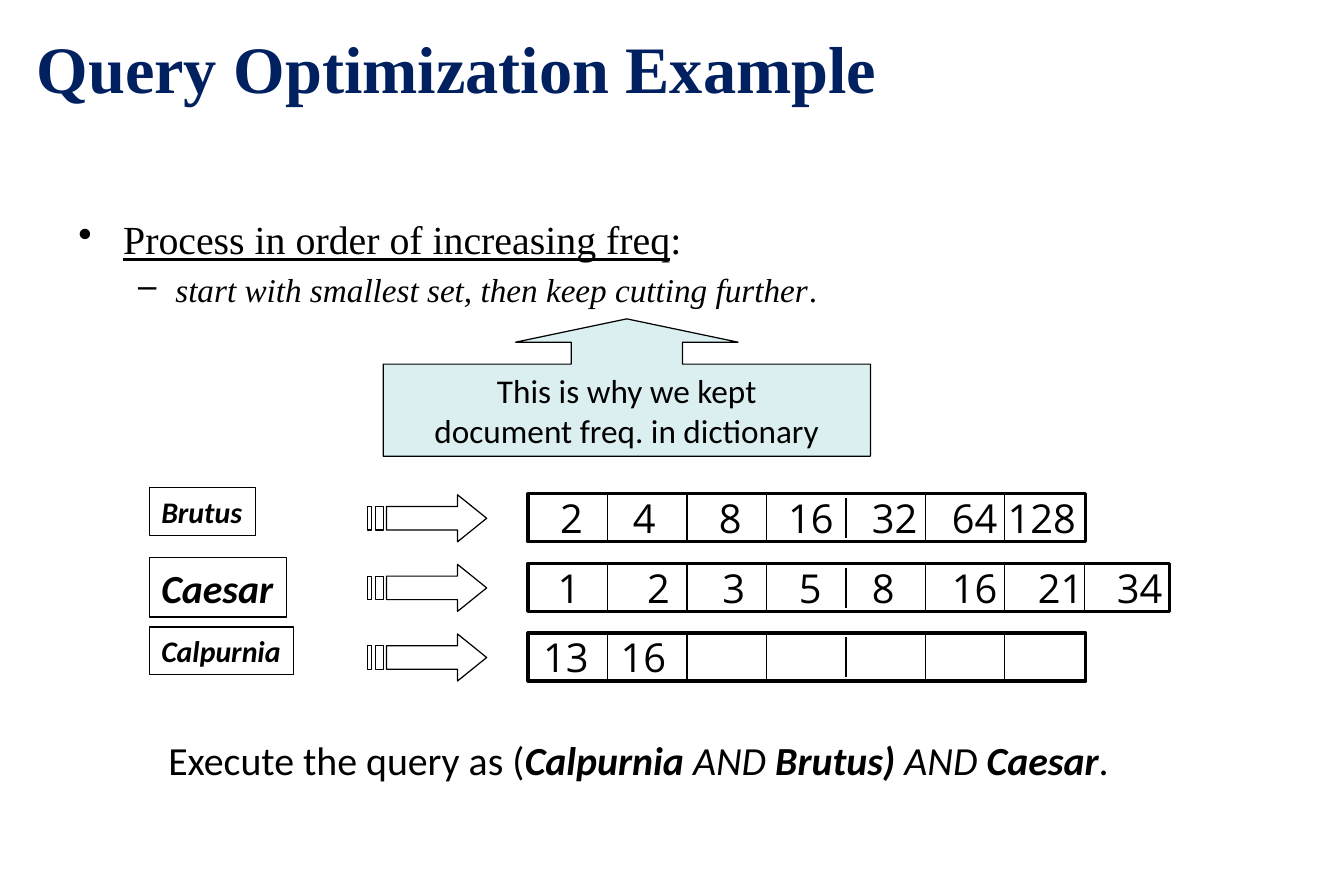
from dataclasses import dataclass

from lxml import etree
from pptx import Presentation
from pptx import util as u
from pptx.dml.color import RGBColor
from pptx.enum import shapes, text
from pptx.oxml import ns

COLORS = {"title": "002060", "ink": "000000", "callout": "BBE0E3"}
SERIF, SANS, DIGITS = "Times New Roman", "Calibri", "Open Sans"

# Postings rows, in centimetres
FIRST_ROW, ROW_STEP = 10.37, 1.48
TERM_LEFT, ARROW_LEFT, LIST_LEFT = 3.18, 7.82, 11.23
CELL_WIDTH, CELL_HEIGHT = 1.69, 1.02
ARROW_PARTS = [
    [(1.91, 0), (1.91, 0.25), (0.4, 0.25), (0.4, 0.75),
     (1.91, 0.75), (1.91, 1), (2.53, 0.5)],
    [(0.17, 0.25), (0.17, 0.75), (0.33, 0.75), (0.33, 0.25)],
    [(0, 0.25), (0, 0.75), (0.08, 0.75), (0.08, 0.25)],
]


@dataclass
class Run:
    words: str
    size: float
    font: str = SANS
    bold: bool = False
    italic: bool = False
    underline: bool = False
    color: str = "ink"


@dataclass
class Postings:
    term: str
    term_size: float
    term_width: float
    term_height: float
    list_width: float
    docs: list[tuple[int, float]]  # document number, left edge


POSTINGS = [
    Postings("Brutus", 18, 2.26, 1.02, 11.86,
             [(2, 11.66), (4, 13.21), (8, 15.04), (16, 16.51),
              (32, 18.29), (64, 19.99), (128, 21.18)]),
    Postings("Caesar", 24, 2.92, 1.27, 13.64,
             [(1, 11.61), (2, 13.51), (3, 15.11), (5, 16.74),
              (8, 18.29), (16, 19.99), (21, 21.82), (34, 23.5)]),
    Postings("Calpurnia", 18, 3.07, 1.02, 11.86, [(13, 11.3), (16, 12.95)]),
]

prs = Presentation()
prs.slide_width, prs.slide_height = u.Cm(28.58), u.Cm(19.05)
slide = prs.slides.add_slide(prs.slide_layouts[6])


def rgb(name: str) -> RGBColor:
    return RGBColor.from_string(COLORS[name])


def add_runs(paragraph, runs: list[Run]) -> None:
    for item in runs:
        run = paragraph.add_run()
        run.text = item.words
        font = run.font
        font.name, font.size = item.font, u.Pt(item.size)
        font.bold, font.italic, font.underline = item.bold, item.italic, item.underline
        font.color.rgb = rgb(item.color)


def write(shape, lines: list[list[Run]], wrap: bool = False,
          anchor=text.MSO_ANCHOR.TOP, align=text.PP_ALIGN.LEFT):
    frame = shape.text_frame
    frame.word_wrap, frame.vertical_anchor = wrap, anchor
    for index, runs in enumerate(lines):
        paragraph = frame.paragraphs[0] if index == 0 else frame.add_paragraph()
        paragraph.alignment = align
        add_runs(paragraph, runs)
    return frame


def add_text(left: float, top: float, width: float, height: float,
             lines: list[list[Run]], **layout):
    box = slide.shapes.add_textbox(u.Cm(left), u.Cm(top), u.Cm(width), u.Cm(height))
    return write(box, lines, **layout)


def outline(shape, weight: float = 0.75) -> None:
    shape.shadow.inherit = False
    shape.fill.background()
    shape.line.color.rgb = rgb("ink")
    shape.line.width = u.Pt(weight)


def add_box(left: float, top: float, width: float, height: float,
            weight: float = 0.75, kind=shapes.MSO_SHAPE.RECTANGLE):
    box = slide.shapes.add_shape(kind, u.Cm(left), u.Cm(top), u.Cm(width), u.Cm(height))
    outline(box, weight)
    return box


def add_bullet(paragraph, mark: str, margin: float, hanging: float, before: float) -> None:
    paragraph.space_before = u.Pt(before)
    props = paragraph._p.get_or_add_pPr()
    props.set("marL", str(u.Cm(margin)))
    props.set("indent", str(-u.Cm(hanging)))
    etree.SubElement(props, ns.qn("a:buChar")).set("char", mark)


def add_striped_arrow(top: float) -> None:
    builder = None
    for part in ARROW_PARTS:
        points = [(u.Cm(ARROW_LEFT + x), u.Cm(top + y)) for x, y in part]
        if builder is None:
            builder = slide.shapes.build_freeform(*points[0])
        else:
            builder.move_to(*points[0])
        builder.add_line_segments(points[1:], close=True)
    outline(builder.convert_to_shape())


def add_divider(x: float, top: float, bottom: float) -> None:
    line = slide.shapes.add_connector(
        shapes.MSO_CONNECTOR.STRAIGHT, u.Cm(x), u.Cm(top), u.Cm(x), u.Cm(bottom))
    line.line.color.rgb = rgb("ink")
    line.line.width = u.Pt(0.75)
    etree.SubElement(line._element.spPr, ns.qn("a:effectLst"))


def add_postings(row: Postings, top: float) -> None:
    term = add_box(TERM_LEFT, top, row.term_width, row.term_height)
    write(term, [[Run(row.term, row.term_size, bold=True, italic=True)]])
    add_striped_arrow(top + 0.15)

    # Nested boxes and a middle line make the cells
    cell_top = top + 0.13
    add_box(LIST_LEFT, cell_top, row.list_width, CELL_HEIGHT, 2)
    for depth in (1, 2, 3):
        add_box(LIST_LEFT + depth * CELL_WIDTH, cell_top,
                (8 - 2 * depth) * CELL_WIDTH, CELL_HEIGHT)
    add_divider(LIST_LEFT + 4 * CELL_WIDTH, top + 0.22, top + 1.07)

    for number, left in row.docs:
        digits = str(number)
        add_text(left, top, 0.51 + 0.53 * len(digits), 1.27,
                 [[Run(digits, 24, DIGITS)]])


# Title
add_text(0.53, 0.43, 22.81, 1.98,
         [[Run("Query Optimization Example", 40, SERIF, bold=True, color="title")]],
         wrap=True, anchor=text.MSO_ANCHOR.MIDDLE)

# Rule for ordering the query
rule = add_text(1.42, 4.45, 25.7, 12.57, [
    [Run("Process in order of increasing freq", 24, SERIF, underline=True),
     Run(":", 24, SERIF)],
    [Run("start with smallest set, then keep cutting further", 20, SERIF, italic=True),
     Run(".", 20, SERIF)],
], wrap=True)
add_bullet(rule.paragraphs[0], "•", 0.95, 0.95, 4.8)
rule.paragraphs[1].level = 1
add_bullet(rule.paragraphs[1], "–", 2.06, 0.79, 4)

# Reason callout
reason = add_box(8.15, 6.78, 10.36, 2.92, kind=shapes.MSO_SHAPE.UP_ARROW_CALLOUT)
for index, value in enumerate((0.81, 0.81, 0.17, 0.67)):
    reason.adjustments[index] = value
reason.fill.solid()
reason.fill.fore_color.rgb = rgb("callout")
tint = reason._element.spPr.find(ns.qn("a:solidFill"))[0]
etree.SubElement(tint, ns.qn("a:alpha")).set("val", "50000")
write(reason, [[Run("This is why we kept", 20)],
               [Run("document freq. in dictionary", 20)]],
      wrap=True, anchor=text.MSO_ANCHOR.MIDDLE, align=text.PP_ALIGN.CENTER)

# Postings lists
for index, row in enumerate(POSTINGS):
    add_postings(row, FIRST_ROW + index * ROW_STEP)

# Resulting query order
add_text(3.33, 15.52, 20.7, 1.3, [[
    Run("Execute the query as (", 24),
    Run("Calpurnia ", 24, bold=True, italic=True),
    Run("AND ", 24, italic=True),
    Run("Brutus) ", 24, bold=True, italic=True),
    Run("AND ", 24, italic=True),
    Run("Caesar", 24, bold=True, italic=True),
    Run(".", 24),
]])

prs.save("out.pptx")
